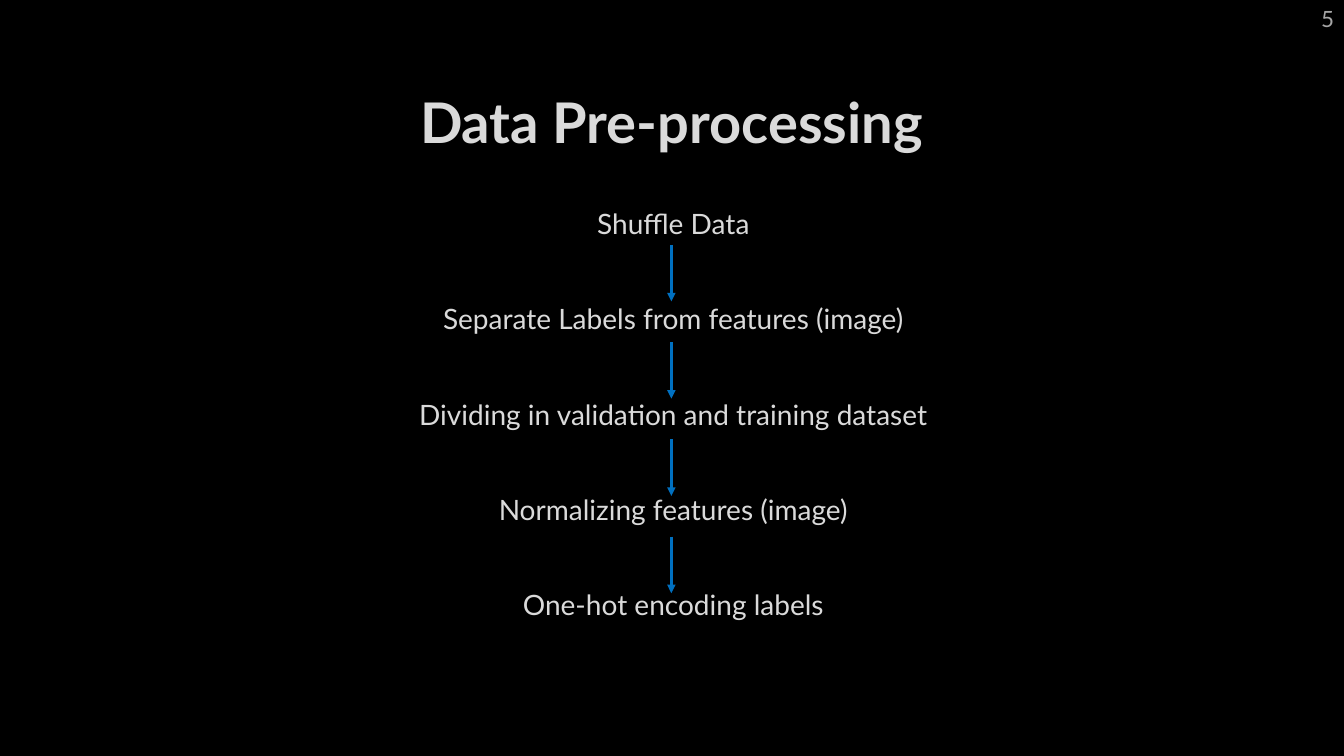
"""Builds the data pre-processing slide: a title and five steps joined by arrows."""
from dataclasses import dataclass

from lxml import etree
from pptx import Presentation
from pptx import util as u
from pptx.dml.color import RGBColor
from pptx.enum import shapes, text
from pptx.oxml import ns

WIDTH, HEIGHT = u.Inches(13.33), u.Inches(7.5)
COLUMNS, ROWS = 160, 90


@dataclass(frozen=True)
class Theme:
    """Colours, font and type sizes of the slide."""
    font: str = "Lato"
    background: str = "000000"
    light: str = "DADADA"
    muted: str = "A6A6A6"
    arrow: str = "0070C0"
    title_size: int = 40
    step_size: int = 20
    number_size: int = 16
    step_gap: int = 44
    arrow_width: int = 2


@dataclass(frozen=True)
class Area:
    """A rectangle in grid columns and rows."""
    left: float
    top: float
    width: float
    height: float

    def lengths(self) -> tuple:
        """Return left, top, width and height as slide lengths."""
        return (across(self.left), down(self.top),
                across(self.width), down(self.height))


@dataclass(frozen=True)
class Arrow:
    """A downward arrow in grid columns and rows."""
    column: float
    row: float
    length: float


THEME = Theme()
TITLE_AREA = Area(12, 8.04, 135.84, 12.72)
STEPS_AREA = Area(12, 24, 135.84, 53.28)
NUMBER_AREA = Area(149.5, 0, 10.5, 4.44)
STEPS = (
    "Shuffle Data",
    "Separate Labels from features (image)",
    "Dividing in validation and training dataset",
    "Normalizing features (image)",
    "One-hot encoding labels",
)
ARROWS = [Arrow(79.92, 29.16 + 11.58 * index, 6.72)
          for index in range(len(STEPS) - 1)]


def across(columns: float) -> int:
    """Convert grid columns to a slide length."""
    return round(WIDTH * columns / COLUMNS)


def down(rows: float) -> int:
    """Convert grid rows to a slide length."""
    return round(HEIGHT * rows / ROWS)


def place(box, area: Area) -> None:
    """Move and size a box to its area."""
    box.left, box.top, box.width, box.height = area.lengths()


def write(para, words: str, *, size: int, color: str, bold: bool = False,
          align=text.PP_ALIGN.CENTER, after: int = 0) -> None:
    """Write words into a paragraph with the given format."""
    para.alignment = align
    para.line_spacing = 1.0
    para.space_before, para.space_after = u.Pt(0), u.Pt(after)
    span = para.add_run()
    span.text = words
    span.font.name, span.font.size = THEME.font, u.Pt(size)
    span.font.bold = bold
    span.font.color.rgb = RGBColor.from_string(color)


def remove_bullet(para) -> None:
    """Drop the bullet and hanging indent of a paragraph."""
    properties = para._p.get_or_add_pPr()
    properties.set("marL", str(u.Inches(0.04)))
    properties.set("indent", "0")
    etree.SubElement(properties, ns.qn("a:buNone"))


def add_title(page) -> None:
    """Fill the title placeholder."""
    box = page.shapes.title
    place(box, TITLE_AREA)
    frame = box.text_frame
    frame.auto_size = text.MSO_AUTO_SIZE.NONE
    frame.vertical_anchor = text.MSO_ANCHOR.MIDDLE
    write(frame.paragraphs[0], "Data Pre-processing",
          size=THEME.title_size, color=THEME.light, bold=True)


def add_steps(page) -> None:
    """Fill the body placeholder with the evenly spaced steps."""
    box = page.placeholders[1]
    place(box, STEPS_AREA)
    frame = box.text_frame
    frame.auto_size = text.MSO_AUTO_SIZE.NONE
    frame.vertical_anchor = text.MSO_ANCHOR.TOP
    for index, step in enumerate(STEPS):
        para = frame.add_paragraph() if index else frame.paragraphs[0]
        write(para, step, size=THEME.step_size, color=THEME.light,
              after=THEME.step_gap)
        remove_bullet(para)


def add_number(page) -> None:
    """Add the page number in the top right corner."""
    frame = page.shapes.add_textbox(*NUMBER_AREA.lengths()).text_frame
    frame.word_wrap = True
    write(frame.paragraphs[0], "5", size=THEME.number_size,
          color=THEME.muted, align=text.PP_ALIGN.RIGHT)


def add_arrow(page, arrow: Arrow) -> None:
    """Draw one downward arrow without a shadow."""
    column = across(arrow.column)
    line = page.shapes.add_connector(
        shapes.MSO_CONNECTOR.STRAIGHT, column, down(arrow.row),
        column, down(arrow.row + arrow.length))
    line.line.color.rgb = RGBColor.from_string(THEME.arrow)
    line.line.width = u.Pt(THEME.arrow_width)
    etree.SubElement(line.line._get_or_add_ln(), ns.qn("a:tailEnd"), type="triangle")
    etree.SubElement(line._element.spPr, ns.qn("a:effectLst"))


def main() -> None:
    """Build and save the deck."""
    deck = Presentation()
    deck.slide_width, deck.slide_height = WIDTH, HEIGHT
    page = deck.slides.add_slide(deck.slide_layouts[1])
    fill = page.background.fill
    fill.solid()
    fill.fore_color.rgb = RGBColor.from_string(THEME.background)
    add_title(page)
    add_steps(page)
    add_number(page)
    for arrow in ARROWS:
        add_arrow(page, arrow)
    deck.save("out.pptx")


if __name__ == "__main__":
    main()
